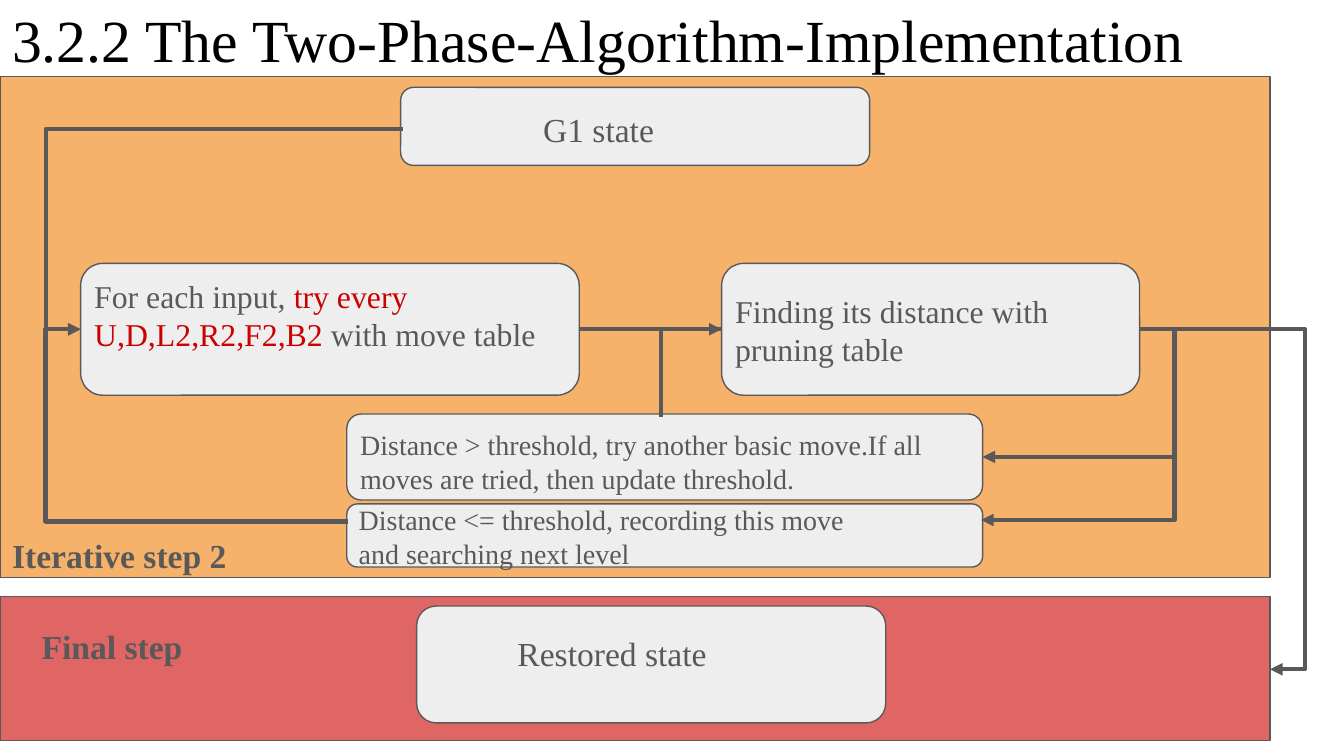
"""Build the slide on the implementation of the two-phase algorithm."""
import pptx
import pptx.dml.color
import pptx.enum.shapes
import pptx.enum.text
import pptx.oxml
import pptx.oxml.ns
import pptx.util

Pt = pptx.util.Pt
SHAPES = pptx.enum.shapes.MSO_SHAPE
CONNECTORS = pptx.enum.shapes.MSO_CONNECTOR
FONT = "Times New Roman"
GREY, RED, BLACK, PALE = "595959", "CC0000", "000000", "EEEEEE"
MIDLINE = 176.4

TITLE = "3.2.2 The Two-Phase-Algorithm-Implementation"
PANELS = [
    ((0, 319.7, 680.4, 77), "E06666"),
    ((0, 41, 680.4, 268.6), "F6B26B"),
]
STEPS = {
    "move": dict(
        area=(43.2, 141.1, 267.1, 70.6), size=17, left=7.2, top=7.2,
        paragraphs=[[("For each input, ", GREY), ("try every U,D,L2,R2,F2,B2", RED),
                     (" with move table", GREY)]]),
    "prune": dict(
        area=(386.6, 141.1, 223.9, 70.6), size=17, left=7.2, top=15.1,
        paragraphs=[[("Finding its distance with pruning table", GREY)]]),
    "above": dict(
        area=(185.8, 221.8, 340.6, 46.1), size=15, left=7.2, top=7.2,
        paragraphs=[[("Distance > threshold, try another basic move.If all moves are tried, "
                      "then update threshold.", GREY)]]),
    "restored": dict(
        area=(223.2, 324.7, 251.3, 62.6), size=18, left=54, top=14.4,
        paragraphs=[[("Restored state", GREY)]]),
    "below": dict(
        area=(185.8, 270, 340.6, 33.8), size=15, left=7.2, top=7.2, paragraphs=[]),
    "start": dict(
        area=(214.6, 46.8, 251.3, 41.8), size=18, left=76.3, top=11.5,
        paragraphs=[[("G1 state", GREY)]]),
}
LABELS = [
    ((6.5, 286.6, 143.3, 21), 18, True, ["Iterative step 2"]),
    ((22.3, 335.5, 100.8, 21), 18, True, ["Final step"]),
    ((192.2, 269.3, 326.2, 34.5), 15, False,
     ["Distance <= threshold, recording this move", "and searching next level"]),
]
ELBOWS = [
    ((610.5, MIDLINE), 629.3, (526.4, 244.8)),
    ((610.5, MIDLINE), 699.1, (680.4, 358.6)),
    ((186.5, 279.4), 24.5, (43.2, MIDLINE)),
    ((610.5, MIDLINE), 629.3, (525.6, 278.6)),
    ((216, 69.1), 24.5, (43.2, MIDLINE)),
]
CORNER = ((386.6, MIDLINE), (354.2, 223.2))


def points(values):
    return [Pt(value) for value in values]


def paint(target, colour):
    """Give a fill or a line a solid colour."""
    target.solid()
    target.fore_color.rgb = pptx.dml.color.RGBColor.from_string(colour)


def write(frame, paragraphs, size, bold=False, insets=(0, 0, 0, 0)):
    """Fill a text frame with paragraphs made of (text, colour) spans."""
    frame.word_wrap = True
    frame.auto_size = pptx.enum.text.MSO_AUTO_SIZE.NONE
    frame.vertical_anchor = pptx.enum.text.MSO_ANCHOR.TOP
    frame.margin_left, frame.margin_top, frame.margin_right, frame.margin_bottom = points(insets)
    for index, spans in enumerate(paragraphs):
        para = frame.add_paragraph() if index else frame.paragraphs[0]
        para.alignment = pptx.enum.text.PP_ALIGN.LEFT
        para.line_spacing = 1.0
        para.space_before = Pt(0)
        for text, colour in spans:
            span = para.add_run()
            span.text = text
            span.font.name = FONT
            span.font.size = Pt(size)
            span.font.bold = bold
            paint(span.font.fill, colour)


def add_box(page, kind, area, colour):
    """Add a filled shape with a thin grey outline."""
    box = page.shapes.add_shape(kind, *points(area))
    box.shadow.inherit = False
    paint(box.fill, colour)
    paint(box.line.fill, GREY)
    box.line.width = Pt(0.75)
    return box


def add_step(page, area, size, left, top, paragraphs):
    """Add a rounded step whose text insets count from its outer edges."""
    box = add_box(page, SHAPES.FLOWCHART_ALTERNATE_PROCESS, area, PALE)
    corner = area[3] / 6 * 0.29
    insets = [inset - corner for inset in (left, top, 7.2, 7.2)]
    write(box.text_frame, paragraphs, size, insets=insets)
    return box


def add_line(page, kind, start, end, arrow=True):
    """Add a thick grey connector, with an arrowhead at its end if wanted."""
    line = page.shapes.add_connector(kind, *points(start + end))
    paint(line.line.fill, GREY)
    line.line.width = Pt(2.25)
    namespace = pptx.oxml.ns.nsdecls("a")
    properties = line._element.spPr
    if arrow:
        head = pptx.oxml.parse_xml(f'<a:tailEnd {namespace} type="triangle"/>')
        properties.find(pptx.oxml.ns.qn("a:ln")).append(head)
    properties.append(pptx.oxml.parse_xml(f"<a:effectLst {namespace}/>"))
    return line, properties.find(pptx.oxml.ns.qn("a:prstGeom"))


def add_elbow(page, start, turn, end):
    """Add an elbow connector whose upright part stands at the turn."""
    geometry = add_line(page, CONNECTORS.ELBOW, start, end)[1]
    share = round((turn - start[0]) / (end[0] - start[0]) * 100000)
    guide = pptx.oxml.parse_xml(
        f'<a:gd {pptx.oxml.ns.nsdecls("a")} name="adj1" fmla="val {share}"/>')
    geometry.find(pptx.oxml.ns.qn("a:avLst")).append(guide)


def main():
    deck = pptx.Presentation()
    deck.slide_width, deck.slide_height = Pt(720), Pt(405)
    page = deck.slides.add_slide(deck.slide_layouts[5])

    title = page.shapes.title
    title.left, title.top, title.width, title.height = points((-0.7, -5.8, 714.2, 53.3))
    write(title.text_frame, [[(TITLE, BLACK)]], 32, insets=(7.2,) * 4)

    for area, colour in PANELS:
        add_box(page, SHAPES.RECTANGLE, area, colour)
    steps = {name: add_step(page, **step) for name, step in STEPS.items()}
    for area, size, bold, lines in LABELS:
        label = page.shapes.add_textbox(*points(area))
        write(label.text_frame, [[(line, GREY)] for line in lines], size, bold=bold)

    for start, turn, end in ELBOWS:
        add_elbow(page, start, turn, end)
    add_line(page, CONNECTORS.ELBOW, *CORNER, arrow=False)[1].set("prst", "bentConnector2")
    link = add_line(page, CONNECTORS.STRAIGHT, (310.3, MIDLINE), (386.6, MIDLINE))[0]
    link.begin_connect(steps["move"], 3)
    link.end_connect(steps["prune"], 1)

    deck.save("out.pptx")


if __name__ == "__main__":
    main()
